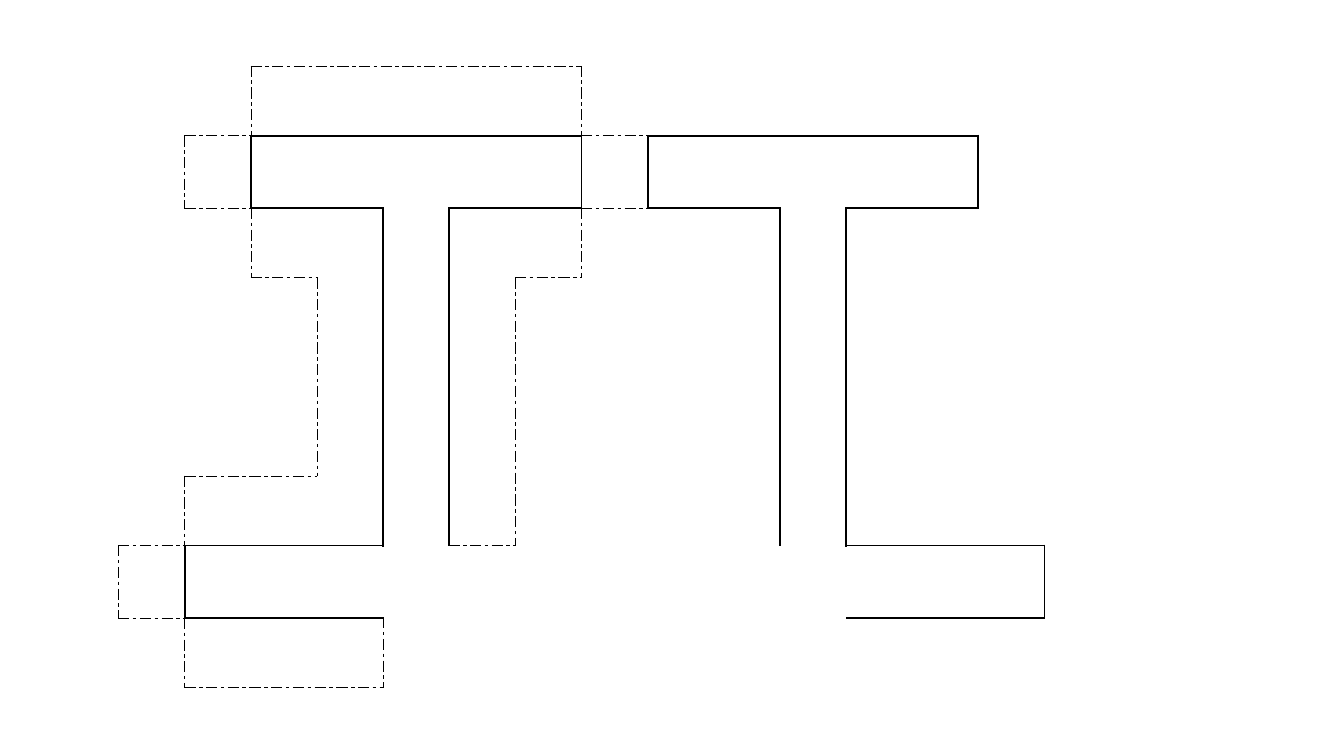
from collections import defaultdict
from dataclasses import dataclass

from lxml.etree import SubElement
from pptx import Presentation
from pptx.oxml.ns import qn
from pptx.table import Table, _Cell as Cell
from pptx.util import Inches, Pt

# Grid of the table, in inches
COLUMN_COUNT = 16
MODULE = 10.5 / COLUMN_COUNT
FLAP, BAR = 0.69, 0.72
ROW_HEIGHTS = [MODULE, FLAP, BAR, FLAP, MODULE, MODULE, MODULE, FLAP, BAR, FLAP, MODULE]
TABLE_LEFT, TABLE_TOP = 0.52, 0
NO_STYLE_NO_GRID = "{2D5ABB26-0587-4C30-8999-92F81FD0307C}"


@dataclass(frozen=True)
class Pen:
    width: float
    dash: str
    colour: str = "000000"


@dataclass(frozen=True)
class Segment:
    """A run of cell borders on one grid line, from start to end."""
    line: int
    start: int
    end: int


CUT = Pen(1.5, "solid")
FOLD = Pen(0.5, "dashDot")

# Horizontal segments lie on row lines, vertical ones on column lines
HORIZONTAL = {
    CUT: [Segment(2, 3, 8), Segment(2, 9, 14),
          Segment(3, 3, 5), Segment(3, 6, 8), Segment(3, 9, 11), Segment(3, 12, 14),
          Segment(8, 2, 5), Segment(8, 12, 15), Segment(9, 2, 5), Segment(9, 12, 15)],
    FOLD: [Segment(1, 3, 8), Segment(2, 2, 3), Segment(2, 8, 9),
           Segment(3, 2, 3), Segment(3, 8, 9), Segment(4, 3, 4), Segment(4, 7, 8),
           Segment(7, 2, 4), Segment(8, 1, 2), Segment(8, 6, 7),
           Segment(9, 1, 2), Segment(10, 2, 5)],
}
VERTICAL = {
    CUT: [Segment(3, 2, 3), Segment(8, 2, 3), Segment(9, 2, 3), Segment(14, 2, 3),
          Segment(5, 3, 8), Segment(6, 3, 8), Segment(11, 3, 8), Segment(12, 3, 8),
          Segment(2, 8, 9), Segment(15, 8, 9)],
    FOLD: [Segment(3, 1, 2), Segment(8, 1, 2), Segment(2, 2, 3),
           Segment(3, 3, 4), Segment(8, 3, 4), Segment(4, 4, 7), Segment(7, 4, 8),
           Segment(2, 7, 8), Segment(1, 8, 9), Segment(2, 9, 10), Segment(5, 9, 10)],
}

Borders = dict[tuple[int, int], dict[str, Pen]]


def collect_borders() -> Borders:
    """Give each segment to the cells on both of its sides."""
    borders: Borders = defaultdict(dict)
    for pen, segments in HORIZONTAL.items():
        for segment in segments:
            for column in range(segment.start, segment.end):
                borders[segment.line - 1, column]["B"] = pen
                borders[segment.line, column]["T"] = pen
    for pen, segments in VERTICAL.items():
        for segment in segments:
            for row in range(segment.start, segment.end):
                borders[row, segment.line - 1]["R"] = pen
                borders[row, segment.line]["L"] = pen
    return borders


def add_solid_colour(parent, colour: str) -> None:
    fill = SubElement(parent, qn("a:solidFill"))
    SubElement(fill, qn("a:srgbClr"), val=colour)


def draw_borders(cell: Cell, pens: dict[str, Pen]) -> None:
    properties = cell._tc.get_or_add_tcPr()
    for side in "LRTB":
        pen = pens.get(side)
        line = SubElement(properties, qn(f"a:ln{side}"))
        if pen is None:
            SubElement(line, qn("a:noFill"))
            continue
        line.set("w", str(Pt(pen.width)))
        add_solid_colour(line, pen.colour)
        SubElement(line, qn("a:prstDash"), val=pen.dash)


def add_grid(slide) -> Table:
    frame = slide.shapes.add_table(
        len(ROW_HEIGHTS), COLUMN_COUNT, Inches(TABLE_LEFT), Inches(TABLE_TOP),
        Inches(MODULE * COLUMN_COUNT), Inches(sum(ROW_HEIGHTS)))
    table = frame.table
    table.first_row = table.horz_banding = False
    table._tbl.tblPr.find(qn("a:tableStyleId")).text = NO_STYLE_NO_GRID
    for column in table.columns:
        column.width = Inches(MODULE)
    for row, height in zip(table.rows, ROW_HEIGHTS):
        row.height = Inches(height)
    return table


def main() -> None:
    presentation = Presentation()
    presentation.slide_width = Inches(13.33)
    presentation.slide_height = Inches(7.5)
    slide = presentation.slides.add_slide(presentation.slide_layouts[6])

    # Net of the letter: cut lines solid, fold lines dashed
    table = add_grid(slide)
    borders = collect_borders()
    for row in range(len(ROW_HEIGHTS)):
        for column in range(COLUMN_COUNT):
            cell = table.cell(row, column)
            draw_borders(cell, borders.get((row, column), {}))
            cell.fill.background()

    presentation.save("out.pptx")


if __name__ == "__main__":
    main()
